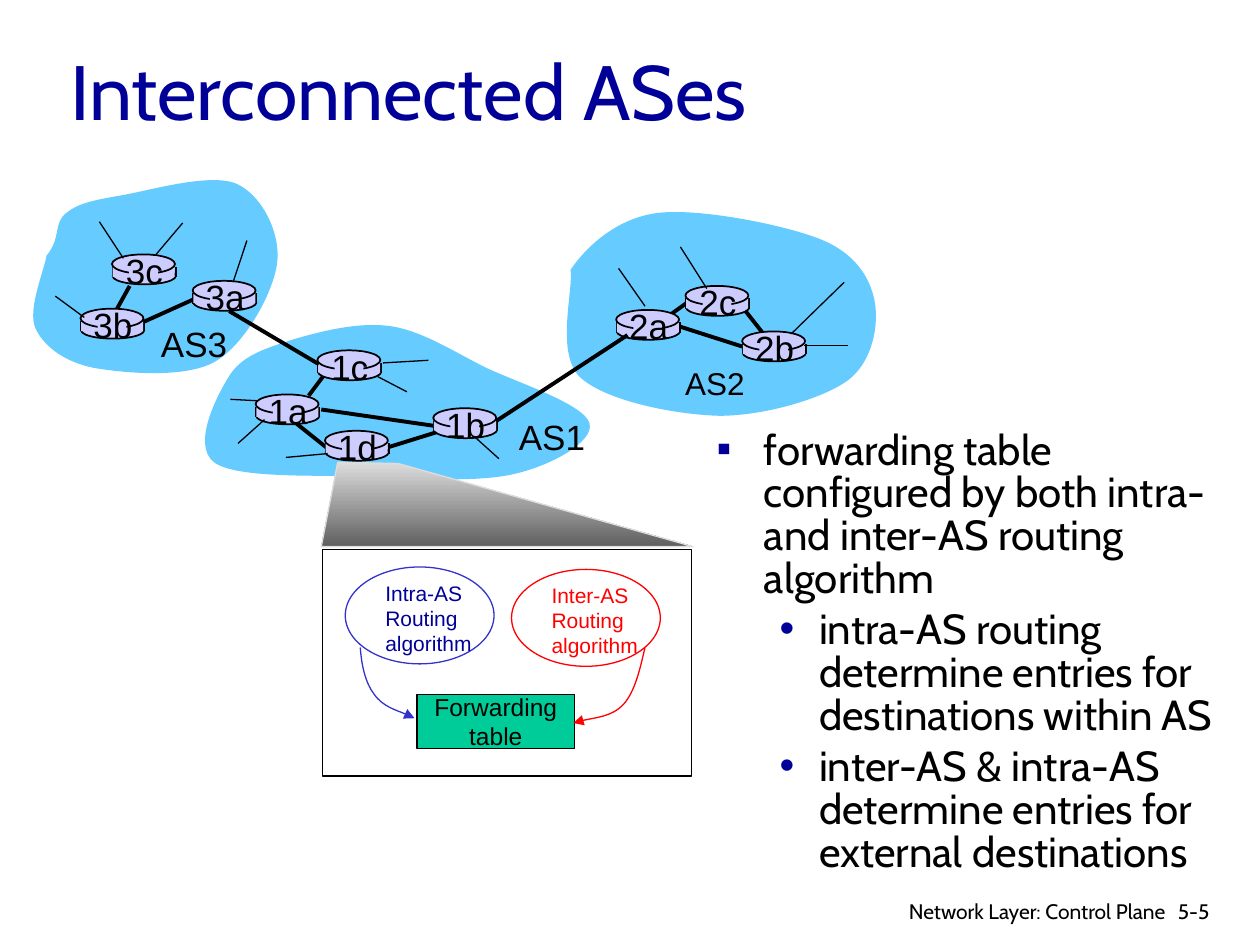
import pptx
import pptx.util
import pptx.dml.color
import pptx.enum.shapes
import pptx.enum.text
import pptx.oxml
import pptx.oxml.ns
import lxml.etree

Pt = pptx.util.Pt
SHAPE = pptx.enum.shapes.MSO_SHAPE
ALIGN = pptx.enum.text.PP_ALIGN
ANCHOR = pptx.enum.text.MSO_ANCHOR
AUTO = pptx.enum.text.MSO_AUTO_SIZE
qn = pptx.oxml.ns.qn

COLORS = {
    "navy": "000099", "black": "000000", "cloud": "66CCFF", "router": "CCCCFF",
    "intra": "3333CC", "inter": "FF0000", "table": "00CC99",
    "light": "DDDDDD", "dark": "5F5F5F",
}

AS2 = {
    "box": (317.5, 118.8), "label": ("AS2", 67, 85.7, 18),
    "outline": [
        (8.6, 35.3), (18, 21.6), (35.3, 5.8), (58.3, 2.9), (82, 0), (128.9, 9.4), (149.8, 17.3),
        (170.6, 25.2), (179.3, 38.9), (182.2, 52.6), (185, 66.2), (181.4, 87.8), (167, 98.6),
        (151.9, 109.4), (118.8, 118.8), (93.6, 118.8), (67.7, 118.1), (28.1, 110.2), (13.7, 96.5),
        (0, 82.1), (10.1, 48.2), (8.6, 35.3)],
    "routers": [("2a", 34.6, 58.3), ("2c", 74.2, 44.6), ("2b", 106.6, 70.6)],
    "links": [(70.6, 67.7, 106.6, 79.2), (108, 58.3, 118.8, 72), (63.4, 62.6, 76.3, 53.3)],
    "stubs": [(141.8, 78.5, 167, 78.5), (134.6, 72, 164.9, 42.5),
              (86.4, 46.1, 71.3, 22.3), (51.1, 56.2, 36, 34.6)],
}
AS3 = {
    "box": (15.8, 98.6), "label": ("AS3", 69.1, 82.1, 20),
    "outline": [
        (10.8, 47.5), (19.4, 37.4), (14.4, 28.8), (22.3, 23), (29.5, 17.3), (38.2, 15.8), (54, 13),
        (70.6, 10.1), (104.4, 0), (119.5, 6.5), (133.9, 13), (144.7, 34.6), (142.6, 51.8),
        (140.4, 68.4), (124.6, 97.9), (107.3, 108), (90, 118.1), (54, 114.5), (37.4, 111.6),
        (20.2, 108), (8.6, 98.6), (4.3, 88.6), (0, 77.8), (9.4, 56.2), (10.8, 47.5)],
    "routers": [("3b", 30.2, 77.8), ("3a", 94.3, 61.9), ("3c", 48.2, 46.8)],
    "links": [(65.5, 85.7, 94.3, 72.7), (58.3, 64.8, 51.1, 77.8)],
    "stubs": [(15.8, 70.6, 32.4, 82.8), (88.6, 28.8, 73.4, 46.8),
              (41, 28.1, 54.7, 49), (125.3, 38.9, 117.4, 62.6)],
}
AS1 = {
    "box": (109.4, 183.6), "label": ("AS1", 180, 50.4, 20),
    "outline": [
        (22.3, 30.2), (30.2, 18.7), (43.9, 15.1), (59, 10.1), (74.2, 5.8), (95.8, 0), (114.5, 2.9),
        (132.5, 5.8), (149.8, 17.3), (168.5, 26.6), (187.2, 35.3), (224.6, 47.5), (227.5, 58.3),
        (230.4, 68.4), (206.6, 82.1), (185, 87.1), (164.2, 92.2), (128.9, 90), (100.1, 88.6),
        (72, 87.8), (25.9, 90), (13, 80.6), (0, 70.6), (14.4, 42.5), (22.3, 30.2)],
    "routers": [("1d", 76.3, 62.6), ("1c", 72, 16.6), ("1a", 36.7, 41.8), ("1b", 138.2, 49.7)],
    "links": [(112.3, 72, 142.6, 62.6), (59.8, 58.3, 77, 72),
              (74.2, 50.4, 139, 59.8), (67, 42.5, 75.6, 31)],
    "stubs": [(41.8, 56.2, 26.6, 69.8), (37.4, 45.4, 22.3, 44.6), (77.8, 75.6, 54, 77.8),
              (109.4, 23.8, 135.4, 22.3), (162, 66.2, 175.7, 78.5), (106.6, 31.7, 123.1, 40.3)],
}
BORDER_LINKS = [(131, 177.8, 182.2, 208.1), (283.7, 240.5, 358.6, 191.5)]
BULLETS = [
    (0, "forwarding table configured by both intra- and inter-AS routing algorithm"),
    (1, "intra-AS routing determine entries for destinations within AS"),
    (1, "inter-AS & intra-AS determine entries for external destinations"),
]
BULLET_STYLES = [("▪", 27, -27), ("•", 58.5, -22.5)]


def rgb(name):
    return pptx.dml.color.RGBColor.from_string(COLORS[name])


def paint(shape, fill=None, line=None, width=0.75):
    shape.shadow.inherit = False
    if fill:
        shape.fill.solid()
        shape.fill.fore_color.rgb = rgb(fill)
    else:
        shape.fill.background()
    if line:
        shape.line.color.rgb = rgb(line)
        shape.line.width = Pt(width)
    else:
        shape.line.fill.background()
    return shape


def add_preset(page, kind, box, **style):
    return paint(page.shapes.add_shape(kind, *map(Pt, box)), **style)


def add_line(page, origin, ends, width):
    left, top = origin
    x1, y1, x2, y2 = ends
    line = page.shapes.add_connector(
        pptx.enum.shapes.MSO_CONNECTOR.STRAIGHT,
        Pt(left + x1), Pt(top + y1), Pt(left + x2), Pt(top + y2))
    line.line.color.rgb = rgb("black")
    line.line.width = Pt(width)
    lxml.etree.SubElement(line._element.spPr, qn("a:effectLst"))


def add_outline(page, origin, points, close=True):
    left, top = origin
    spots = [(Pt(left + x), Pt(top + y)) for x, y in points]
    builder = page.shapes.build_freeform(*spots[0])
    builder.add_line_segments(spots[1:], close=close)
    return builder.convert_to_shape()


def add_curve(page, origin, points, close=True):
    shape = add_outline(page, origin, points, close)
    segments = list(shape._element.iter(qn("a:lnTo")))
    for start in range(0, len(points) - 1, 3):
        curve = lxml.etree.Element(qn("a:cubicBezTo"))
        segments[start].addprevious(curve)
        for segment in segments[start:start + 3]:
            curve.append(segment[0])
            segment.getparent().remove(segment)
    return shape


def write(frame, texts, size, color="black", font="Arial", align=ALIGN.LEFT):
    for index, text in enumerate(texts):
        para = frame.paragraphs[0] if index == 0 else frame.add_paragraph()
        para.alignment = align
        span = para.add_run()
        span.text = text
        span.font.size = Pt(size)
        span.font.name = font
        span.font.color.rgb = rgb(color)


def add_text(page, box, texts, size, wrap=False, **style):
    frame = page.shapes.add_textbox(*map(Pt, box)).text_frame
    frame.word_wrap = wrap
    frame.auto_size = AUTO.NONE if wrap else AUTO.SHAPE_TO_FIT_TEXT
    write(frame, texts, size, **style)
    return frame


def draw_router(page, left, top, name):
    add_preset(page, SHAPE.OVAL, (left + 0.4, top + 7.7, 36, 9.4), fill="router", line="black", width=1)
    for x in (0.4, 36.4):
        add_line(page, (left, top), (x, 7, x, 13), 1)
    add_preset(page, SHAPE.RECTANGLE, (left + 0.4, top + 7, 35.5, 5.8), fill="router")
    add_preset(page, SHAPE.OVAL, (left, top, 36, 11), fill="router", line="black", width=1)
    add_preset(page, SHAPE.RECTANGLE, (left + 9.8, top + 1.2, 16.4, 14.4), fill="router")
    add_text(page, (left, top - 6.5, 37, 31), [name], 20, align=ALIGN.CENTER)


def draw_system(page, system):
    left, top = origin = system["box"]
    paint(add_curve(page, origin, system["outline"]), fill="cloud")
    for ends in system["links"]:
        add_line(page, origin, ends, 2.25)
    for name, x, y in system["routers"]:
        draw_router(page, left + x, top + y, name)
    label, x, y, size = system["label"]
    add_text(page, (left + x, top + y, 2.8 * size, 31), [label], size)
    for ends in system["stubs"]:
        add_line(page, origin, ends, 0.75)


def draw_detail(page, left, top):
    funnel = add_outline(page, (left, top), [(0, 48.2), (9.4, 0), (43.9, 0.7), (212.4, 48.2)])
    paint(funnel, line="light")
    funnel.fill.gradient()
    funnel.fill.gradient_angle = 270
    for stop, color in zip(funnel.fill.gradient_stops, ("light", "dark")):
        stop.color.rgb = rgb(color)
    add_preset(page, SHAPE.RECTANGLE, (left + 0.7, top + 49.7, 211, 129.6), line="black")
    table = add_preset(page, SHAPE.RECTANGLE, (left + 54.7, top + 132.5, 90, 31), fill="table", line="black")
    table.text_frame.word_wrap = False
    table.text_frame.vertical_anchor = ANCHOR.MIDDLE
    write(table.text_frame, ["Forwarding", "table"], 14, align=ALIGN.CENTER)
    algorithms = [
        ("Intra-AS", 13.7, 59.8, "intra", "navy", [
            (22.3, 105.8), (23, 115.9), (25.2, 126), (30.2, 132.5),
            (35.3, 139.7), (49.7, 144), (53.3, 146.2)]),
        ("Inter-AS", 108.7, 61.2, "inter", "inter", [
            (185, 105.8), (182.2, 118.1), (179.3, 131), (172.8, 138.2),
            (166.3, 145.4), (149, 146.9), (144, 149)]),
    ]
    for name, x, y, color, ink, route in algorithms:
        add_preset(page, SHAPE.OVAL, (left + x, top + y, 85, 55.4), line=color)
        add_text(page, (left + x + 15.8, top + y + 4, 67, 50.4), [name, "Routing", "algorithm"], 12, color=ink)
        arrow = paint(add_curve(page, (left, top), route, close=False), line=color)
        lxml.etree.SubElement(arrow.line._get_or_add_ln(), qn("a:tailEnd"), type="triangle")


def draw_bullets(page, box):
    frame = add_text(page, box, [text for _, text in BULLETS], 24, wrap=True, font="Cabin")
    for para, (level, _) in zip(frame.paragraphs, BULLETS):
        mark, margin, indent = BULLET_STYLES[level]
        para.level = level
        para.line_spacing = 0.85
        para.space_before = Pt(4.8)
        props = para._p.get_or_add_pPr()
        props.set("marL", str(Pt(margin)))
        props.set("indent", str(Pt(indent)))
        tint = lxml.etree.SubElement(props, qn("a:buClr"))
        lxml.etree.SubElement(tint, qn("a:srgbClr"), val=COLORS["navy"])
        lxml.etree.SubElement(props, qn("a:buFont"), typeface="Arial")
        lxml.etree.SubElement(props, qn("a:buChar"), char=mark)


def draw_title(page, box):
    title = page.shapes.title
    title.left, title.top, title.width, title.height = map(Pt, box)
    title.text_frame.vertical_anchor = ANCHOR.MIDDLE
    title.text_frame.auto_size = AUTO.NONE
    write(title.text_frame, ["Interconnected ASes"], 44, color="navy", font="Cabin")


def draw_footer(page, left, top):
    add_text(page, (left, top, 171.4, 18.7), ["Network Layer: Control Plane"], 12,
             wrap=True, font="Cabin", align=ALIGN.RIGHT)
    add_text(page, (left + 164.2, top, 43.2, 21.6), ["5-5"], 12, wrap=True, font="Cabin")


def main():
    deck = pptx.Presentation()
    deck.slide_width, deck.slide_height = Pt(720), Pt(540)
    page = deck.slides.add_slide(deck.slide_layouts[5])
    draw_title(page, (33.1, 18, 612, 66.2))
    for system in (AS2, AS3, AS1):
        draw_system(page, system)
    for ends in BORDER_LINKS:
        add_line(page, (0, 0), ends, 2.25)
    draw_detail(page, 183.6, 264.2)
    draw_bullets(page, (402.5, 242.6, 300.2, 267.8))
    draw_footer(page, 501.8, 509.8)
    deck.save("out.pptx")


if __name__ == "__main__":
    main()
